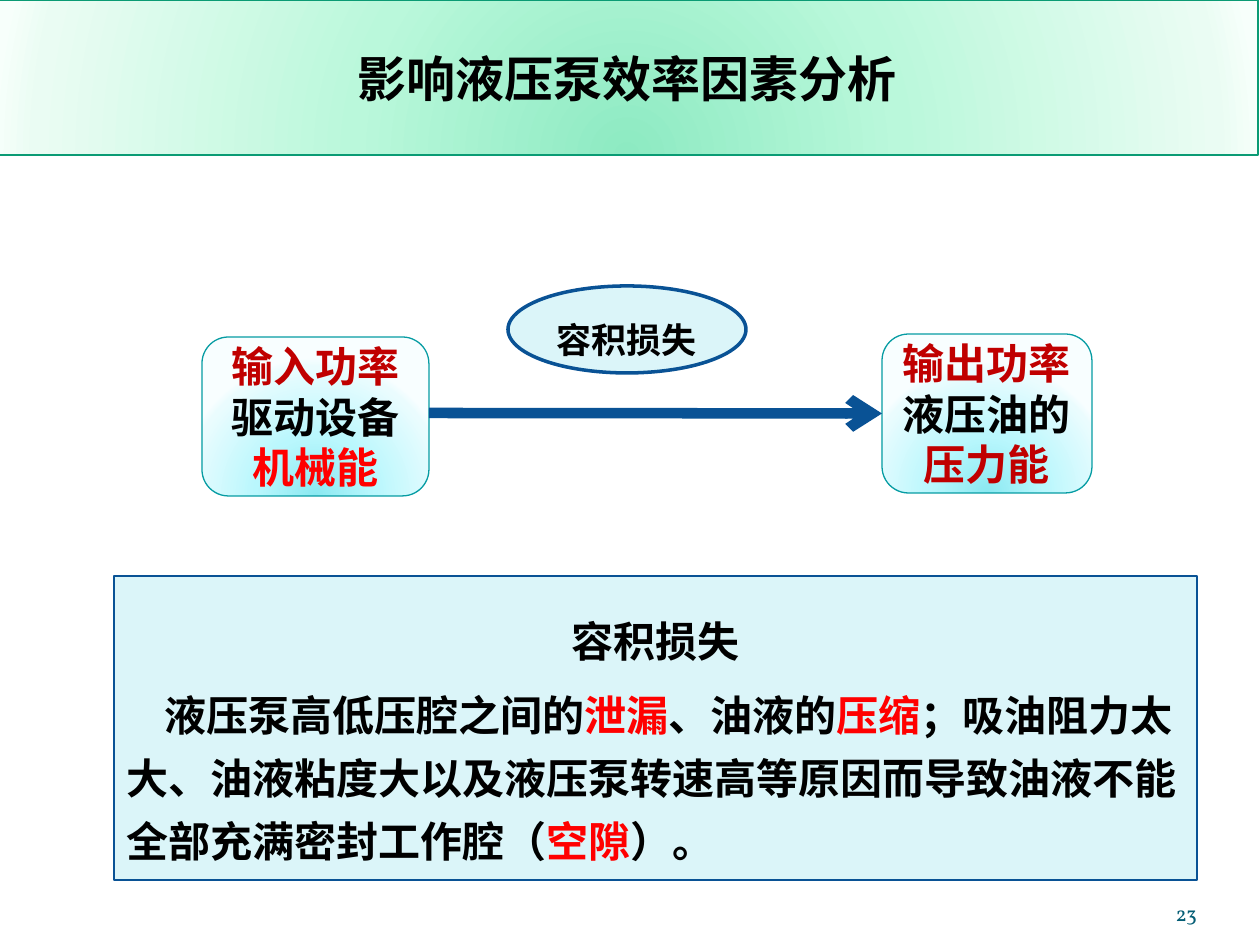
from dataclasses import dataclass

from lxml import etree
from pptx import Presentation
from pptx import util as u
from pptx.dml.color import RGBColor
from pptx.enum import shapes, text
from pptx.oxml.ns import qn

SCALE = 914400 / 126  # EMU in one px


@dataclass(frozen=True)
class Theme:
    font: str = "Noto Sans CJK SC"
    number_font: str = "Vollkorn"
    title_size: int = 28
    body_size: int = 24
    label_size: int = 20
    number_size: int = 12
    ink: str = "000000"
    dark_red: str = "C00000"
    red: str = "FF0000"
    blue: str = "095295"
    pale: str = "DBF5F9"
    teal: str = "069CA3"
    green: str = "0A9B74"
    number_ink: str = "045D75"
    aqua_stops: tuple = ((0, "8BE9F1"), (43, "B9F7FD"), (93, "EAFCFE"), (100, "F8FEFF"))
    green_stops: tuple = ((0, "8DEAC2"), (43, "BAF8DB"), (93, "EAFCF3"), (100, "F7FFFB"))


THEME = Theme()


def px(value):
    return u.Emu(round(value * SCALE))


def color(value):
    return RGBColor.from_string(value)


def add_child(parent, tag, **attributes):
    return etree.SubElement(parent, qn(tag), **attributes)


def radial_fill(shape, stops):
    """Fill with a circular gradient centred below the shape."""
    shape.fill.gradient()
    gradient = shape._element.spPr.find(qn("a:gradFill"))
    for child in list(gradient):
        gradient.remove(child)
    stop_list = add_child(gradient, "a:gsLst")
    for position, value in stops:
        stop = add_child(stop_list, "a:gs", pos=str(position * 1000))
        add_child(stop, "a:srgbClr", val=value)
    circle = add_child(gradient, "a:path", path="circle")
    add_child(circle, "a:fillToRect", l="50000", t="130000", r="50000", b="-30000")


def outline(shape, value, width=0.75):
    shape.line.color.rgb = color(value)
    shape.line.width = u.Pt(width)


def format_para(para, size, value=THEME.ink, name=THEME.font, bold=True,
                align=text.PP_ALIGN.CENTER):
    para.alignment = align
    font = para.font
    font.size, font.bold, font.name = u.Pt(size), bold, name
    font.color.rgb = color(value)
    add_child(font._element, "a:ea", typeface=name)


def add_box(page, kind, box, line, width=0.75):
    shape = page.shapes.add_shape(kind, *map(px, box))
    shape.shadow.inherit = False
    outline(shape, line, width)
    shape.text_frame.vertical_anchor = text.MSO_ANCHOR.MIDDLE
    return shape


def solid_fill(shape, value):
    shape.fill.solid()
    shape.fill.fore_color.rgb = color(value)


def add_banner(page, box, wording):
    title = page.shapes.title
    title.left, title.top, title.width, title.height = map(px, box)
    radial_fill(title, THEME.green_stops)
    outline(title, THEME.green)
    title.text_frame.vertical_anchor = text.MSO_ANCHOR.MIDDLE
    title.text_frame.text = wording
    format_para(title.text_frame.paragraphs[0], THEME.title_size)


def add_power_box(page, box, lines):
    shape = add_box(page, shapes.MSO_SHAPE.ROUNDED_RECTANGLE, box, THEME.teal)
    radial_fill(shape, THEME.aqua_stops)
    frame = shape.text_frame
    frame.word_wrap = False
    frame.text = "\n".join(wording for wording, _ in lines)
    for para, (_, value) in zip(frame.paragraphs, lines):
        format_para(para, THEME.body_size, value)
    return shape


def add_flow(page, box):
    """Power in, arrow, power out, and the loss above the arrow."""
    left, top, width, height = box
    middle = top + 127
    source_width, target_width, box_height = 227, 210, 159
    add_power_box(page, (left, top + 51, source_width, box_height),
                  (("输入功率", THEME.dark_red), ("驱动设备", THEME.ink), ("机械能", THEME.red)))
    target_left = left + width - target_width
    target = add_power_box(
        page, (target_left, top + 48, target_width, box_height),
        (("输出功率", THEME.dark_red), ("液压油的", THEME.ink), ("压力能", THEME.dark_red)))

    arrow = page.shapes.add_connector(
        shapes.MSO_CONNECTOR.STRAIGHT, px(left + source_width), px(middle),
        px(target_left), px(middle))
    arrow.end_connect(target, 1)
    outline(arrow, THEME.blue, 6)
    add_child(arrow.line._get_or_add_ln(), "a:tailEnd", type="arrow")
    add_child(arrow._element.spPr, "a:effectLst")

    loss = add_box(page, shapes.MSO_SHAPE.OVAL, (left + 306, top, 238, 87), THEME.blue, 2)
    solid_fill(loss, THEME.pale)
    loss.text_frame.word_wrap = False
    loss.text_frame.text = "容积损失"
    para = loss.text_frame.paragraphs[0]
    format_para(para, THEME.label_size)
    para.line_spacing = 1.5


def add_explanation(page, box, heading, spans):
    panel = add_box(page, shapes.MSO_SHAPE.RECTANGLE, box, THEME.blue)
    solid_fill(panel, THEME.pale)
    frame = panel.text_frame
    frame.word_wrap = True
    frame.text = heading
    format_para(frame.paragraphs[0], THEME.body_size)
    frame.paragraphs[0].line_spacing = 1.5

    para = frame.add_paragraph()
    format_para(para, THEME.body_size, align=text.PP_ALIGN.LEFT)
    para.line_spacing, para.space_before = 1.25, u.Pt(6)
    para._p.get_or_add_pPr().set("indent", str(px(38)))
    for wording, highlighted in spans:
        span = para.add_run()
        span.text = wording
        if highlighted:
            span.font.color.rgb = color(THEME.red)


def add_page_number(page, box, number):
    frame = page.shapes.add_textbox(*map(px, box)).text_frame
    frame.margin_left = frame.margin_right = frame.margin_top = frame.margin_bottom = 0
    frame.word_wrap = True
    frame.vertical_anchor = text.MSO_ANCHOR.BOTTOM
    frame.text = number
    format_para(frame.paragraphs[0], THEME.number_size, THEME.number_ink,
                THEME.number_font, False, text.PP_ALIGN.RIGHT)


def main():
    deck = Presentation()
    deck.slide_width, deck.slide_height = px(1260), px(945)
    page = deck.slides.add_slide(deck.slide_layouts[5])
    add_banner(page, (-4, 0, 1262, 155), "影响液压泵效率因素分析")
    add_flow(page, (202, 286, 890, 210))
    add_explanation(page, (114, 576, 1083, 304), "容积损失", (
        ("液压泵高低压腔之间的", False), ("泄漏", True),
        ("、油液的", False), ("压缩", True),
        ("；吸油阻力太大、油液粘度大以及液压泵转速高等原因而导致油液不能全部充满密封工作腔（", False),
        ("空隙", True), ("）。", False)))
    add_page_number(page, (1092, 876, 105, 50), "23")
    deck.save("out.pptx")


if __name__ == "__main__":
    main()
